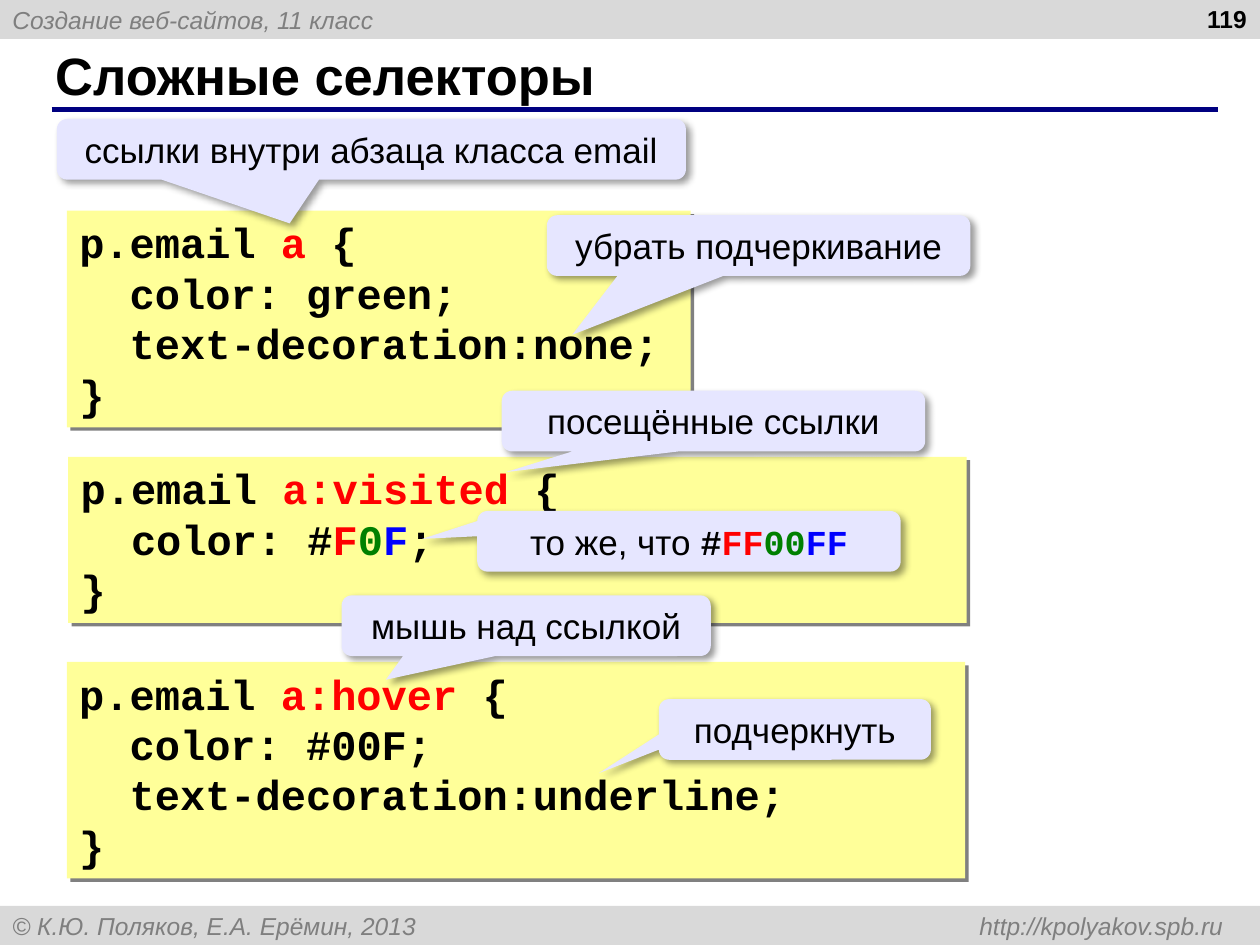
import pptx
import pptx.dml.color
import pptx.enum.shapes
import pptx.enum.text
import pptx.oxml
import pptx.oxml.ns
import pptx.util

Pt = pptx.util.Pt
Shape = pptx.enum.shapes.MSO_SHAPE
Align = pptx.enum.text.PP_ALIGN
Anchor = pptx.enum.text.MSO_ANCHOR

BLACK, GRAY, RED, GREEN, BLUE = "000000", "7F7F7F", "FF0000", "008000", "0000FF"
CODE_FONT = "Courier New"


def color(value):
    return pptx.dml.color.RGBColor.from_string(value)


def add_xml(parent, body):
    parent.append(pptx.oxml.parse_xml(body.replace(
        ">", " " + pptx.oxml.ns.nsdecls("a") + ">", 1)))


class SlideBuilder:
    bar_fill, code_fill, callout_fill, rule_color = "D9D9D9", "FFFF99", "E6E6FF", "000080"

    def __init__(self, page):
        self.page = page

    def fill_text(self, box, lines, size, align=Align.LEFT, anchor=Anchor.TOP, **style):
        """Each line is a list of (text, colour[, overrides]) spans."""
        frame = box.text_frame
        frame.word_wrap = True
        frame.vertical_anchor = anchor
        for number, line in enumerate(lines):
            para = frame.paragraphs[0] if number == 0 else frame.add_paragraph()
            para.alignment = align
            for text, ink, *extra in line:
                span = para.add_run()
                span.text = text
                font = span.font
                look = {"name": "Arial", "bold": False, "italic": False, **style}
                if extra:
                    look.update(extra[0])
                font.name, font.bold, font.italic = look["name"], look["bold"], look["italic"]
                font.size = Pt(size)
                font.color.rgb = color(ink)

    def shape(self, kind, place, fill):
        box = self.page.shapes.add_shape(kind, *map(Pt, place))
        box.shadow.inherit = False
        box.fill.solid()
        box.fill.fore_color.rgb = color(fill)
        box.line.fill.background()
        return box

    def shadow(self, box, ink, alpha, blur, distance):
        effects = box._element.spPr.find(pptx.oxml.ns.qn("a:effectLst"))
        add_xml(effects, f'<a:outerShdw blurRad="{Pt(blur)}" dist="{Pt(distance)}" '
                f'dir="2700000" algn="tl" rotWithShape="0"><a:srgbClr val="{ink}">'
                f'<a:alpha val="{alpha * 1000}"/></a:srgbClr></a:outerShdw>')

    def bar(self, top, text, tab=None):
        box = self.shape(Shape.RECTANGLE, (0, top, 720, 22.3), self.bar_fill)
        if tab:
            properties = box.text_frame.paragraphs[0]._p.get_or_add_pPr()
            add_xml(properties, f'<a:tabLst><a:tab pos="{Pt(tab)}" algn="r"/></a:tabLst>')
        self.fill_text(box, [[(text, GRAY)]], 14, anchor=Anchor.MIDDLE, italic=True)

    def rule(self, left, right, top):
        line = self.page.shapes.add_connector(
            pptx.enum.shapes.MSO_CONNECTOR.STRAIGHT, Pt(left), Pt(top), Pt(right), Pt(top))
        line.line.color.rgb = color(self.rule_color)
        line.line.width = Pt(3)
        add_xml(line._element.spPr, "<a:effectLst></a:effectLst>")

    def label(self, place, text, size, align=Align.LEFT, anchor=Anchor.TOP):
        box = self.page.shapes.add_textbox(*map(Pt, place))
        self.fill_text(box, [[(text, BLACK)]], size, align, anchor, bold=True)

    def code(self, place, lines):
        box = self.shape(Shape.RECTANGLE, place, self.code_fill)
        self.shadow(box, "808080", 100, 0, 2.8)
        box.text_frame.margin_right = 0
        self.fill_text(box, lines, 24, name=CODE_FONT, bold=True)

    def callout(self, left, top, width, tip, spans):
        box = self.shape(Shape.ROUNDED_RECTANGULAR_CALLOUT,
                         (left, top, width, 34.7), self.callout_fill)
        for number, value in enumerate((*tip, 0.17)):
            box.adjustments[number] = value
        self.shadow(box, "000000", 40, 4, 3)
        self.fill_text(box, [spans], 20, Align.CENTER)


def selector(name):
    return [("p.email ", BLACK), (name, RED), (" {", BLACK)]


def main():
    deck = pptx.Presentation()
    deck.slide_width, deck.slide_height = Pt(720), Pt(540)
    builder = SlideBuilder(deck.slides.add_slide(deck.slide_layouts[6]))

    # Header, footer and title
    builder.bar(0, "Создание веб-сайтов, 11 класс")
    builder.bar(517.7, "© К.Ю. Поляков, Е.А. Ерёмин, 2013\thttp://kpolyakov.spb.ru", tab=692)
    builder.rule(29.5, 696, 62.5)
    builder.label((24.5, 24, 659.5, 37.5), "Сложные селекторы", 30, anchor=Anchor.MIDDLE)
    builder.label((551.5, -1.5, 168, 37.5), "119", 14, Align.RIGHT)

    # Code blocks
    end = [("}", BLACK)]
    builder.code((38.2, 120.4, 356.5, 123.8), [
        selector("a"),
        [("  color: green;", BLACK)],
        [("  text-decoration:none;", BLACK)],
        end])
    builder.code((38.2, 378.2, 513.4, 123.8), [
        selector("a:hover"),
        [("  color: #00F;", BLACK)],
        [("  text-decoration:underline;", BLACK)],
        end])
    builder.code((39, 261, 513.4, 95), [
        selector("a:visited"),
        [("  color: #", BLACK), ("F", RED), ("0", GREEN), ("F", BLUE), (";", BLACK)],
        end])

    # Callouts: left, top, width, tip offset, text
    for left, top, width, tip, text in (
            (32.5, 68, 359.5, (-0.13, 1.22), "ссылки внутри абзаца класса email"),
            (312.5, 123, 242, (-0.44, 1.47), "убрать подчеркивание"),
            (286.7, 223.3, 242, (-0.49, 0.84), "посещённые ссылки"),
            (376.5, 399.5, 155.5, (-0.72, 0.72), "подчеркнуть"),
            (195.2, 340.2, 211, (-0.38, 0.89), "мышь над ссылкой")):
        builder.callout(left, top, width, tip, [(text, BLACK)])
    code_look = {"name": CODE_FONT, "bold": True}
    builder.callout(272.7, 292, 242, (-0.63, -0.04), [
        ("то же, что ", BLACK), ("#", BLACK, code_look), ("FF", RED, code_look),
        ("00", GREEN, code_look), ("FF", BLUE, code_look)])

    deck.save("out.pptx")


if __name__ == "__main__":
    main()
